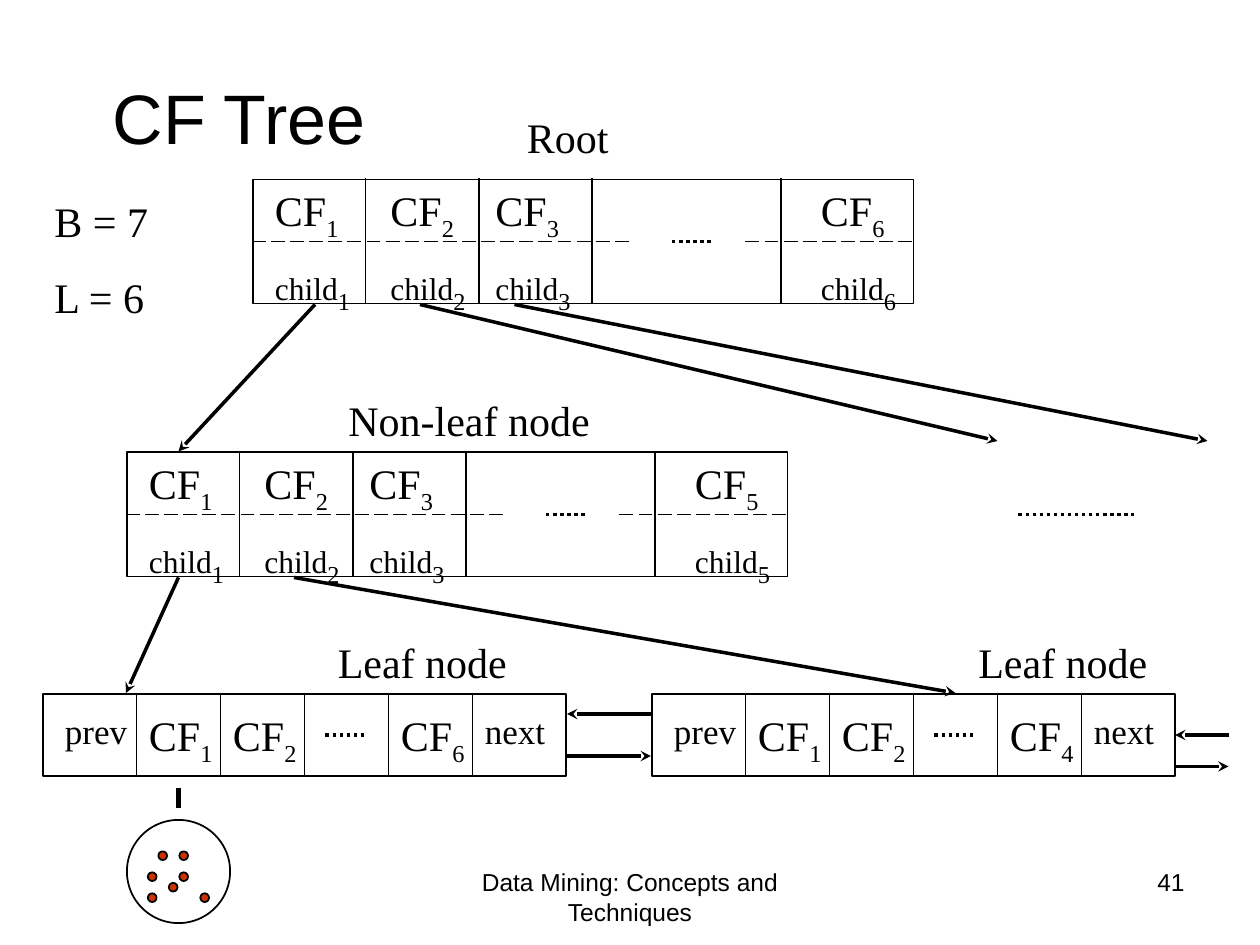
from lxml.etree import SubElement
from pptx import Presentation
from pptx.dml.color import RGBColor
from pptx.enum.dml import MSO_LINE
from pptx.enum.shapes import MSO_CONNECTOR, MSO_SHAPE
from pptx.enum.text import MSO_ANCHOR, PP_ALIGN
from pptx.oxml.ns import qn
from pptx.util import Pt

BLACK = RGBColor(0x00, 0x00, 0x00)
RED = RGBColor(0xCC, 0x33, 0x00)

presentation = Presentation()
presentation.slide_width, presentation.slide_height = Pt(720), Pt(540)
slide = presentation.slides.add_slide(presentation.slide_layouts[5])


def add_text(text, *, box, shape=None, size=24, font="Times New Roman",
             align=PP_ALIGN.LEFT, anchor=MSO_ANCHOR.TOP, subscript="",
             subscript_size=24, space_between=0):
    """Write text, one paragraph a line, in a new text box or a given shape."""
    left, top, width, height = [Pt(value) for value in box]
    if shape is None:
        shape = slide.shapes.add_textbox(left, top, width, height)
    else:
        shape.left, shape.top, shape.width, shape.height = left, top, width, height
    frame = shape.text_frame
    frame.word_wrap = True
    frame.vertical_anchor = anchor
    for index, line_text in enumerate(text.split("\n")):
        paragraph = frame.paragraphs[0] if index == 0 else frame.add_paragraph()
        paragraph.alignment = align
        if index:
            paragraph.space_before = Pt(space_between)
        for run_text, run_size in ((line_text, size), (subscript, subscript_size)):
            if not run_text:
                continue
            run = paragraph.add_run()
            run.text = run_text
            run.font.name = font
            run.font.size = Pt(run_size)
            run.font.color.rgb = BLACK
            if run_text == subscript:
                run._r.get_or_add_rPr().set("baseline", "-25000")


def add_line(x1, y1, x2, y2, width=1, dash=None, arrow=False):
    connector = slide.shapes.add_connector(
        MSO_CONNECTOR.STRAIGHT, Pt(x1), Pt(y1), Pt(x2), Pt(y2))
    connector.line.color.rgb = BLACK
    connector.line.width = Pt(width)
    if dash is not None:
        connector.line.dash_style = dash
    properties = connector._element.spPr
    if arrow:
        SubElement(properties.find(qn("a:ln")), qn("a:tailEnd"), type="stealth")
    SubElement(properties, qn("a:effectLst"))
    return connector


# Title
add_text("CF Tree", shape=slide.shapes.title, box=(42, 38, 189, 57), size=40,
         font="Arial", align=PP_ALIGN.CENTER, anchor=MSO_ANCHOR.MIDDLE)

# Root and non-leaf node: entries above, child pointers below
outlines = []
for left, top, last_entry in ((144, 102, "6"), (72, 258, "5")):
    outlines.append(slide.shapes.add_shape(
        MSO_SHAPE.RECTANGLE, Pt(left + 0.5), Pt(top + 0.5), Pt(377.5), Pt(71)))
    for offset in (64.8, 129.6, 194.4, 302.4):
        add_line(left + offset, top, left + offset, top + 72)
    for start, end in ((0, 216), (282, 378)):
        add_line(left + start, top + 36, left + end, top + 36,
                 dash=MSO_LINE.LONG_DASH)
    add_line(left + 240, top + 36, left + 264, top + 36, 2, MSO_LINE.ROUND_DOT)
    for offset, number in ((6, "1"), (72, "2"), (132, "3"), (318, last_entry)):
        add_text("CF", box=(left + offset, top, 54, 40), subscript=number)
        add_text("child", box=(left + offset, top + 42, 72, 40), size=18,
                 subscript=number)

# Leaf nodes
for left, last_entry in ((24, "6"), (372, "4")):
    leaf = slide.shapes.add_shape(
        MSO_SHAPE.RECTANGLE, Pt(left + 0.5), Pt(396.5), Pt(299), Pt(47))
    outlines.append(leaf)
    for column in range(5):
        divider = left + 54 + 48 * column
        add_line(divider, 396, divider, 444)
    for offset, number in ((54, "1"), (102, "2"), (198, last_entry)):
        add_text("CF", box=(left + offset, 402, 54, 40), subscript=number)
    for offset, pointer in ((6, "prev"), (246, "next")):
        add_text(pointer, box=(left + offset, 402, 54, 31), size=20)
    add_line(left + 162, 420, left + 186, 420, 2, MSO_LINE.ROUND_DOT)

# Arrows from parents to children and between neighbouring leaves
for ends in ((180, 174, 102, 258), (240, 174, 570, 252), (294, 174, 690, 252),
             (102, 330, 72, 396), (168, 330, 546, 396),
             (372, 408, 324, 408), (324, 432, 372, 432), (672, 438, 702, 438)):
    add_line(*ends, width=2, arrow=True)
incoming = add_line(702, 420, 672, 420, width=2, arrow=True)
incoming.end_connect(leaf, 3)

# Further non-leaf nodes
add_line(582, 294, 648, 294, 2, MSO_LINE.ROUND_DOT)

# Parameters and node labels
add_text("B = 7\nL = 6", box=(24, 108, 84, 80), space_between=15)
for label, left, top, width in (("Root", 294, 60, 78),
                                ("Non-leaf node", 192, 222, 156),
                                ("Leaf node", 186, 360, 114),
                                ("Leaf node", 552, 360, 114)):
    add_text(label, box=(left, top, width, 36))

# Cluster of points behind the first leaf entry
cluster = slide.shapes.add_group_shape()
for x, y in ((90.5, 486.5), (102.5, 498.5), (102.5, 486.5), (84.5, 510.5),
             (84.5, 498.5), (96.5, 504.5), (114.5, 510.5)):
    point = cluster.shapes.add_shape(MSO_SHAPE.OVAL, Pt(x), Pt(y), Pt(5), Pt(5))
    point.shadow.inherit = False
    point.fill.solid()
    point.fill.fore_color.rgb = RED
    point.line.color.rgb = BLACK
    point.line.width = Pt(1)
outlines.append(cluster.shapes.add_shape(
    MSO_SHAPE.OVAL, Pt(72.5), Pt(468.5), Pt(59), Pt(59)))
add_line(102, 450, 102, 462, width=3)

# Unfilled outlines of nodes and cluster
for outline in outlines:
    outline.shadow.inherit = False
    outline.fill.background()
    outline.line.color.rgb = BLACK
    outline.line.width = Pt(1)

# Footer and page number
add_text("Data Mining: Concepts and Techniques", box=(246, 492, 228, 37.5),
         size=14, font="Arial", align=PP_ALIGN.CENTER)
add_text("41", box=(516, 492, 168, 37.5), size=14, font="Arial",
         align=PP_ALIGN.RIGHT)

presentation.save("out.pptx")
